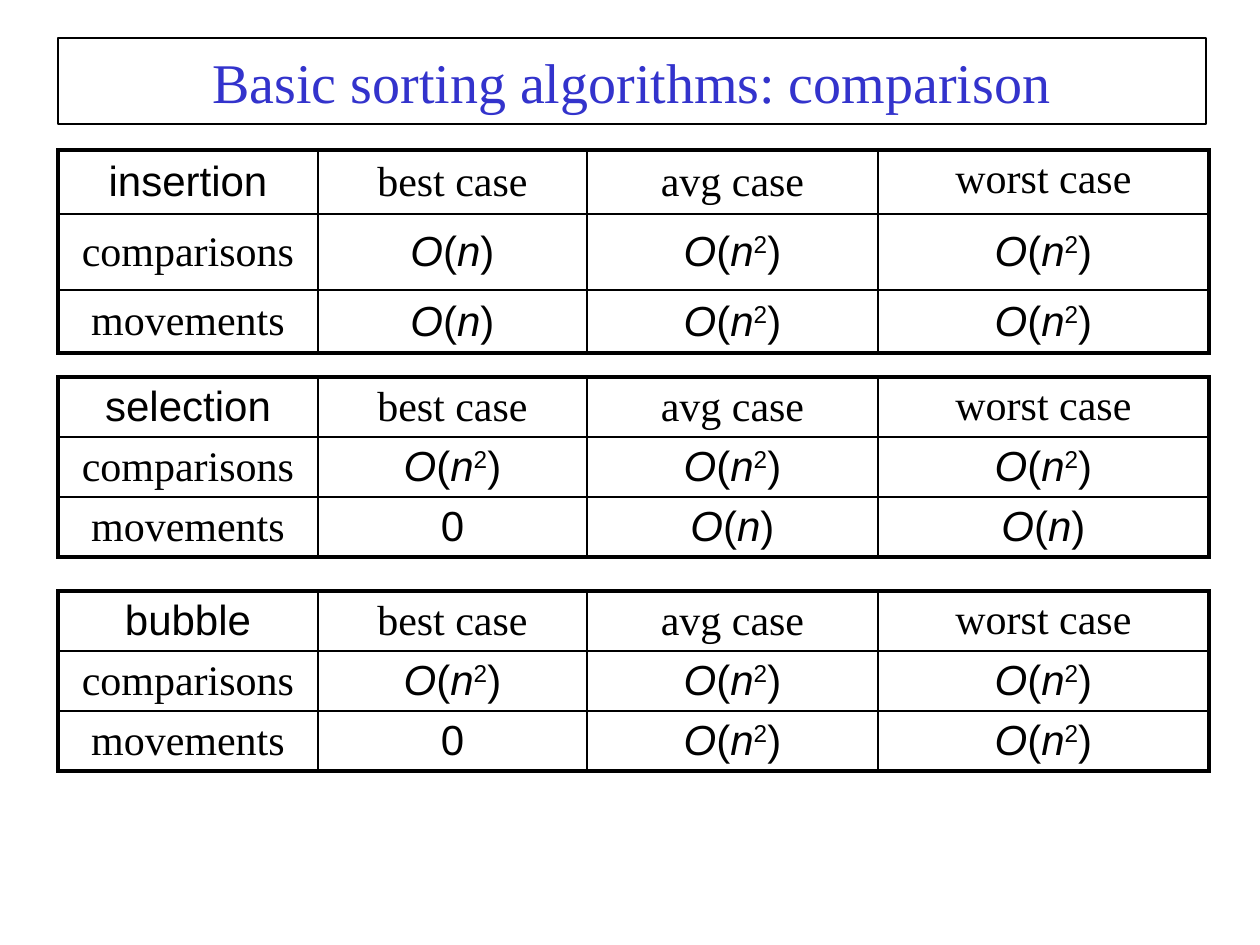
from lxml.etree import SubElement
from pptx import Presentation
from pptx.dml.color import RGBColor
from pptx.enum.text import MSO_ANCHOR as Anchor, PP_ALIGN as Align
from pptx.oxml.ns import qn
from pptx.util import Pt

SCALE = 914400 / 126
BLACK = RGBColor(0x00, 0x00, 0x00)
BLUE = RGBColor(0x33, 0x33, 0xCC)
SERIF, SANS = "Times New Roman", "Arial"
THIN, THICK = 1, 2.25

# Growth rates as (text, style) runs
LINEAR = [("O", "italic"), ("(", ""), ("n", "italic"), (")", "")]
SQUARE = LINEAR[:3] + [("2", "super"), (")", "")]
ZERO = [("0", "")]

LEFT = 58
COLS = [260, 269, 291, 331]
CASES = ["best case", "avg case", "worst case"]

# Name, top, row heights, comparisons, movements
SORTS = [
    ("insertion", 150, [64, 76, 63],
     [LINEAR, SQUARE, SQUARE], [LINEAR, SQUARE, SQUARE]),
    ("selection", 377, [60, 60, 60],
     [SQUARE, SQUARE, SQUARE], [ZERO, LINEAR, LINEAR]),
    ("bubble", 591, [60, 60, 60],
     [SQUARE, SQUARE, SQUARE], [ZERO, SQUARE, SQUARE]),
]


def px(num):
    return round(num * SCALE)


def add_run(para, text, font, size, color, style=""):
    run = para.add_run()
    run.text = text
    run.font.name = font
    run.font.size = Pt(size)
    run.font.color.rgb = color
    run.font.italic = style == "italic"
    if style == "super":
        run.font._element.set("baseline", "30000")


def add_title(slide, text):
    title = slide.shapes.title
    title.left, title.top = px(LEFT), px(38)
    title.width, title.height = px(1148), px(86)
    title.line.color.rgb = BLACK
    title.line.width = Pt(THIN)
    frame = title.text_frame
    frame.vertical_anchor = Anchor.MIDDLE
    para = frame.paragraphs[0]
    para.alignment = Align.CENTER
    add_run(para, text, SERIF, 32, BLUE)


def set_edge(cell, side, width):
    props = cell._tc.get_or_add_tcPr()
    line = SubElement(props, qn(f"a:ln{side}"), w=str(Pt(width)))
    fill = SubElement(line, qn("a:solidFill"))
    SubElement(fill, qn("a:srgbClr"), val=str(BLACK))


def fill_cell(cell, runs, font, edges):
    for side, outer in edges.items():
        set_edge(cell, side, THICK if outer else THIN)
    cell.fill.background()
    cell.vertical_anchor = Anchor.MIDDLE
    para = cell.text_frame.paragraphs[0]
    para.alignment = Align.CENTER
    for text, style in runs:
        add_run(para, text, font, 24, BLACK, style)


def add_sort(slide, name, top, heights, compares, moves):
    rows = [
        [[(text, "")] for text in [name] + CASES],
        [[("comparisons", "")]] + compares,
        [[("movements", "")]] + moves,
    ]
    last_row, last_col = len(rows) - 1, len(COLS) - 1
    table = slide.shapes.add_table(
        len(rows), len(COLS), px(LEFT), px(top),
        px(sum(COLS)), px(sum(heights))).table
    table.first_row = table.horz_banding = False
    for col, width in zip(table.columns, COLS):
        col.width = px(width)
    for row, height in zip(table.rows, heights):
        row.height = px(height)

    # Labels are serif; the sort name and growth rates are sans
    for r, row in enumerate(rows):
        for c, runs in enumerate(row):
            font = SERIF if (r == 0) != (c == 0) else SANS
            edges = {"L": c == 0, "R": c == last_col,
                     "T": r == 0, "B": r == last_row}
            fill_cell(table.cell(r, c), runs, font, edges)
    table.cell(0, last_col).vertical_anchor = Anchor.TOP


def main():
    deck = Presentation()
    deck.slide_width, deck.slide_height = px(1260), px(945)
    slide = deck.slides.add_slide(deck.slide_layouts[5])
    add_title(slide, "Basic sorting algorithms: comparison")
    for sort in SORTS:
        add_sort(slide, *sort)
    deck.save("out.pptx")


if __name__ == "__main__":
    main()
